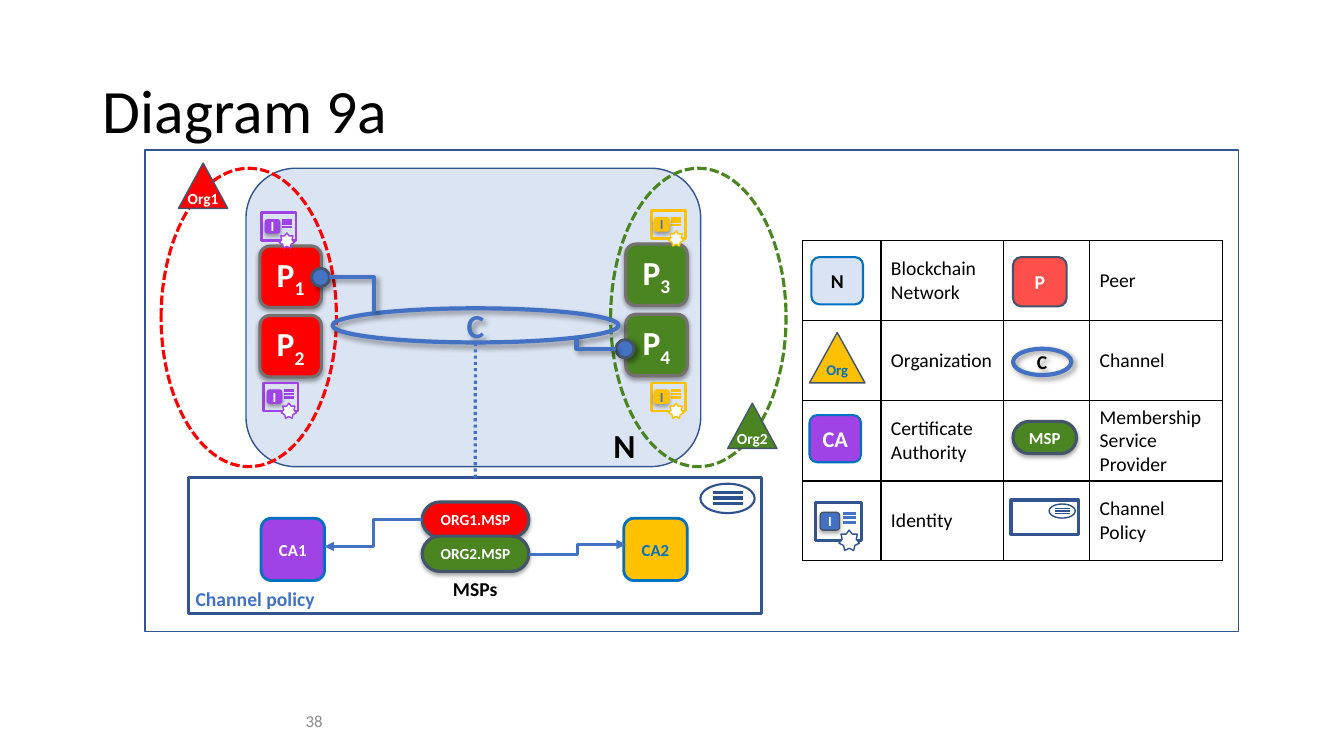
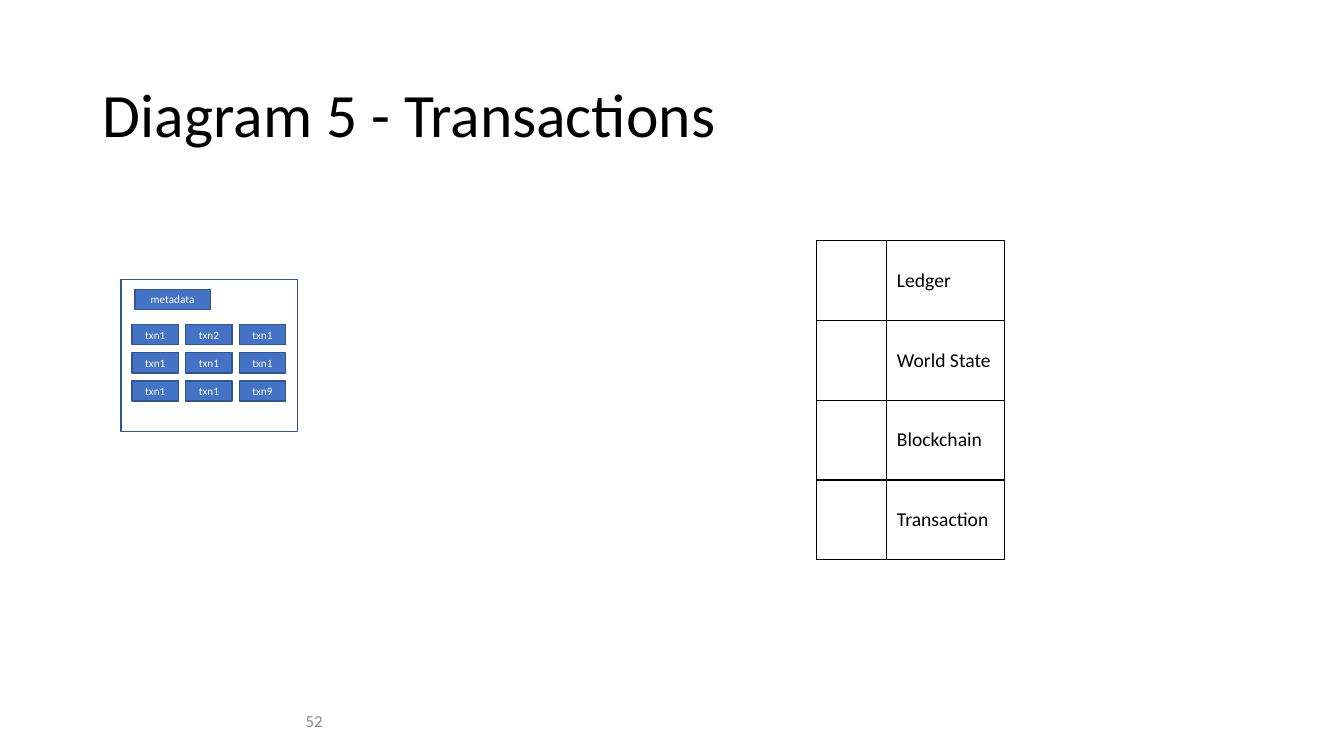
"""Build two blockchain diagram slides: a channel policy with its legend, and a block of transactions."""
import lxml.etree
import pptx
import pptx.dml.color
import pptx.enum.dml
import pptx.enum.shapes
import pptx.enum.text
import pptx.oxml.ns
import pptx.util

Cm = pptx.util.Cm
Pt = pptx.util.Pt
rgb = pptx.dml.color.RGBColor.from_string
qn = pptx.oxml.ns.qn
SHAPE = pptx.enum.shapes.MSO_SHAPE
LINK = pptx.enum.shapes.MSO_CONNECTOR
DASH = pptx.enum.dml.MSO_LINE
ALIGN = pptx.enum.text.PP_ALIGN
MIDDLE = pptx.enum.text.MSO_ANCHOR.MIDDLE

BLACK, WHITE, GREY, SLATE, STONE = "000000", "FFFFFF", "8C8C8C", "44546A", "767171"
RED, GREEN, PURPLE, AMBER = "FF0000", "4A8522", "9F42E6", "FFC100"
NAVY, BLUE, AZURE, PALE = "325491", "4372C4", "0070C0", "DBE4F3"
SOFT = {"alpha": 35, "blur": 3.1, "dist": 1.8, "dir": 90}
CAST = {"alpha": 40, "blur": 4, "dist": 3, "dir": 45}


def write(tf, text, size, color, bold=False, align=ALIGN.LEFT, sub=""):
    """Fill a text frame with one formatted paragraph, with an optional subscript."""
    p = tf.paragraphs[0]
    p.alignment = align
    for part in filter(None, (text, sub)):
        r = p.add_run()
        r.text = part
        for key, value in {"name": "Calibri", "size": Pt(size), "bold": bold}.items():
            setattr(r.font, key, value)
        r.font.color.rgb = rgb(color)
        if part == sub:
            r._r.get_or_add_rPr().set("baseline", "-25000")
    return p


def draw(s, kind, at, text="", fill=None, line=None, width=1, dash=None, shadow=None,
         size=12, color=WHITE, bold=True, align=ALIGN.CENTER, sub="", adj=None, arrow=False):
    """Add a shape, a text box (no kind) or a connector with its line, shadow and text."""
    at = [Cm(v) for v in at]
    is_link = isinstance(kind, LINK)
    if is_link:
        sp = s.shapes.add_connector(kind, *at)
    elif kind is None:
        sp = s.shapes.add_textbox(*at)
    else:
        sp = s.shapes.add_shape(kind, *at)
        if adj is not None:
            sp.adjustments[0] = adj
    if not is_link:
        if fill:
            sp.fill.solid()
            sp.fill.fore_color.rgb = rgb(fill)
        else:
            sp.fill.background()
        tf = sp.text_frame
        margins = dict.fromkeys(("margin_left", "margin_top", "margin_right", "margin_bottom"), 0)
        for key, value in {**margins, "word_wrap": True, "vertical_anchor": MIDDLE}.items():
            setattr(tf, key, value)
        if text:
            write(tf, text, size, color, bold, align, sub)
    if line:
        sp.line.color.rgb = rgb(line)
        sp.line.width = Pt(width)
        if dash:
            sp.line.dash_style = dash
    else:
        sp.line.fill.background()
    spPr = sp._element.spPr
    if arrow:
        lxml.etree.SubElement(spPr.find(qn("a:ln")), qn("a:tailEnd"), type="triangle")
    effects = lxml.etree.SubElement(spPr, qn("a:effectLst"))
    if shadow:
        outer = lxml.etree.SubElement(
            effects, qn("a:outerShdw"), blurRad=str(Pt(shadow["blur"])),
            dist=str(Pt(shadow["dist"])), dir=str(shadow["dir"] * 60000), rotWithShape="0")
        shade = lxml.etree.SubElement(outer, qn("a:srgbClr"), val=BLACK)
        lxml.etree.SubElement(shade, qn("a:alpha"), val=str(shadow["alpha"] * 1000))
    return sp


prs = pptx.Presentation()
prs.slide_width, prs.slide_height = Cm(33.87), Cm(19.05)

pages = [
    ("Diagram 9a", 1.02, "38", 20.22, (1.98, 3.08, 2.18, 3.35), [
        ("", "Blockchain Network", "", "Peer"),
        ("", "Organization", "", "Channel"),
        ("", "Certificate Authority", "", "Membership Service Provider"),
        ("", "Identity", "", "Channel Policy")]),
    ("Diagram 5 - Transactions", 1.12, "52", 20.57, (1.78, 2.97), [
        ("", "Ledger"), ("", "World State"), ("", "Blockchain"), ("", "Transaction")]),
]
for title, top, number, left, widths, rows in pages:
    s = prs.slides.add_slide(prs.slide_layouts[5])
    ph = s.shapes.title
    ph.left, ph.top, ph.width, ph.height = Cm(2.34), Cm(top), Cm(29.21), Cm(3.68)
    ph.text_frame.vertical_anchor = MIDDLE
    write(ph.text_frame, title, 44, BLACK).line_spacing = 0.9
    draw(s, None, (0.76, 17.65, 7.37, 1.02), number, color=GREY, bold=False, align=ALIGN.RIGHT)
    table = s.shapes.add_table(len(rows), len(widths), Cm(left), Cm(6.07),
                               Cm(sum(widths)), Cm(2.01 * len(rows))).table
    table.first_row = table.horz_banding = False
    for col, width in zip(table.columns, widths):
        col.width = Cm(width)
    for row, texts in zip(table.rows, rows):
        for cell, text in zip(row.cells, texts):
            tcPr = cell._tc.get_or_add_tcPr()
            for side in ("a:lnL", "a:lnR", "a:lnT", "a:lnB"):
                ln = lxml.etree.SubElement(tcPr, qn(side), w=str(Pt(1)))
                solid = lxml.etree.SubElement(ln, qn("a:solidFill"))
                lxml.etree.SubElement(solid, qn("a:srgbClr"), val=BLACK)
            cell.fill.background()
            cell.vertical_anchor = MIDDLE
            if text:
                write(cell.text_frame, text, 14, BLACK)

s = prs.slides[0]
draw(s, SHAPE.RECTANGLE, (3.66, 3.78, 27.56, 12.14), line=NAVY)
draw(s, SHAPE.ROUNDED_RECTANGLE, (6.2, 4.24, 11.46, 7.52), fill=PALE, line=NAVY)
draw(s, None, (15, 10.59, 1.47, 1.27), "N", size=24, color=BLACK)

tiles = [
    ("N", 20.45, 6.48, 1.3, 1.19, "DAE3F3", AZURE, 1.5, 14, BLACK),
    ("CA", 20.4, 10.46, 1.3, 1.19, PURPLE, AZURE, 1.5, 16, WHITE),
    ("P", 25.53, 6.48, 1.35, 1.24, "FF4F4B", SLATE, 1.5, 14, WHITE),
    ("CA1", 6.58, 13.06, 1.6, 1.57, PURPLE, AZURE, 2, 12, WHITE),
    ("CA2", 15.72, 13.06, 1.6, 1.57, AMBER, AZURE, 2, 12, AZURE),
]
for text, x, y, w, h, fill, line, width, size, color in tiles:
    draw(s, SHAPE.ROUNDED_RECTANGLE, (x, y, w, h), text, fill, line, width, size=size, color=color)

for sub, x, y, fill in (("1", 6.55, 6.2, RED), ("2", 6.55, 7.95, RED),
                        ("3", 15.77, 6.15, GREEN), ("4", 15.77, 7.92, GREEN)):
    draw(s, SHAPE.ROUNDED_RECTANGLE, (x, y, 1.55, 1.55), "P", fill, STONE, 2.25,
         shadow=SOFT, size=24, sub=sub)

for x, color in ((4.06, RED), (15.39, GREEN)):
    draw(s, SHAPE.OVAL, (x, 4.24, 4.42, 7.52), line=color, width=2.25, dash=DASH.SQUARE_DOT)

for text, x, y, w, h, fill, size, color in (
        ("Org1", 4.5, 4.11, 1.24, 1.14, RED, 11, WHITE),
        ("Org2", 18.34, 10.16, 1.24, 1.14, GREEN, 11, WHITE),
        ("Org", 20.4, 8.38, 1.4, 1.27, "FFC001", 10.5, AZURE)):
    draw(s, SHAPE.ISOSCELES_TRIANGLE, (x, y, w, h), fill=fill, line=SLATE)
    draw(s, None, (x, y + 0.45 * h, w, 0.74), text, size=size, color=color)

for at, size, color in (((8.38, 7.77, 7.21, 0.86), 24, BLUE), ((25.53, 8.79, 1.47, 0.66), 14, BLACK)):
    draw(s, SHAPE.OVAL, at, "C", line=BLUE, width=3, shadow=CAST, size=size, color=color)
for x, y in ((7.85, 6.76), (15.52, 8.56)):
    draw(s, SHAPE.OVAL, (x, y, 0.46, 0.46), fill="4472C4", line=SLATE, width=2, shadow=CAST)
for at in ((8.28, 6.99, 9.42, 7.87), (15.52, 8.79, 14.53, 8.48)):
    corner = draw(s, LINK.ELBOW, at, line=BLUE, width=3, shadow=CAST)
    corner._element.spPr.prstGeom.set("prst", "bentConnector2")

for text, at, fill, size in (("ORG1.MSP", (10.64, 12.65, 2.69, 0.89), RED, 11),
                             ("ORG2.MSP", (10.64, 13.51, 2.69, 0.89), GREEN, 11),
                             ("MSP", (25.53, 10.62, 1.6, 0.81), GREEN, 12)):
    draw(s, SHAPE.ROUNDED_RECTANGLE, at, text, fill, SLATE, 2.25, shadow=SOFT, size=size, adj=0.5)
draw(s, None, (11.15, 14.4, 1.65, 0.86), "MSPs", size=14, color=BLACK)
for at in ((10.64, 13.1, 8.18, 13.77), (13.34, 13.97, 15.77, 13.72)):
    draw(s, LINK.ELBOW, at, line=BLUE, width=2.25, arrow=True)

for x, y, k, frame, rule, badge, edge, color in (
        (6.65, 9.65, 1, PURPLE, PURPLE, PURPLE, PURPLE, WHITE),
        (6.6, 5.36, 1, PURPLE, PURPLE, PURPLE, PURPLE, WHITE),
        (16.41, 9.65, 1, AMBER, AMBER, AMBER, AMBER, BLUE),
        (16.41, 5.31, 1, AMBER, AMBER, AMBER, AMBER, BLUE),
        (20.55, 12.67, 1.35, NAVY, "4472C4", BLUE, SLATE, WHITE)):
    draw(s, SHAPE.RECTANGLE, (x, y, 0.86 * k, 0.71 * k), line=frame, width=2)
    for i in range(3):
        rule_y = y + (0.2 + 0.08 * i) * k
        draw(s, LINK.STRAIGHT, (x + 0.51 * k, rule_y, x + 0.76 * k, rule_y), line=rule, width=2)
    draw(s, SHAPE.ROUNDED_RECTANGLE, (x + 0.09 * k, y + 0.18 * k, 0.36 * k, 0.33 * k), "I",
         badge, edge, shadow=SOFT, size=10, color=color)
    draw(s, SHAPE.STAR_7_POINT, (x + 0.44 * k, y + 0.51 * k, 0.38 * k, 0.38 * k), fill=WHITE, line=frame)

policy = draw(s, SHAPE.RECTANGLE, (4.75, 12.04, 14.45, 3.43), line=NAVY, width=2.25)
draw(s, SHAPE.RECTANGLE, (25.48, 12.6, 1.7, 0.86), line=NAVY, width=2.25)
draw(s, None, (4.93, 14.66, 6, 0.86), "Channel policy", size=14, color=BLUE, align=ALIGN.LEFT)
dotted = draw(s, LINK.STRAIGHT, (11.98, 12.04, 11.98, 8.63), line=BLUE, width=2.25, dash=DASH.ROUND_DOT)
dotted.begin_connect(policy, 0)

for x, y, k, oval_width, rule_width in ((17.65, 12.19, 1, 1.5, 2.25), (26.44, 12.7, 0.48, 1, 1)):
    draw(s, SHAPE.OVAL, (x, y, 1.37 * k, 0.74 * k), line="2E528F", width=oval_width)
    for i in range(3):
        rule_y = y + (0.23 + 0.13 * i) * k
        draw(s, LINK.STRAIGHT, (x + 0.33 * k, rule_y, x + 1.07 * k, rule_y), line="2E528F", width=rule_width)

s = prs.slides[1]
draw(s, SHAPE.RECTANGLE, (3.05, 7.04, 4.45, 3.84), fill=WHITE, line=NAVY)
entries = [("metadata", 3.4, 7.29, 1.9)]
names = ["txn1", "txn2"] + ["txn1"] * 6 + ["txn9"]
for i, name in enumerate(names):
    entries.append((name, 3.33 + 1.35 * (i % 3), 8.18 + 0.71 * (i // 3), 1.17))
for text, x, y, w in entries:
    draw(s, SHAPE.RECTANGLE, (x, y, w, 0.51), text, "4472C4", NAVY, size=8, bold=False)

prs.save("out.pptx")
